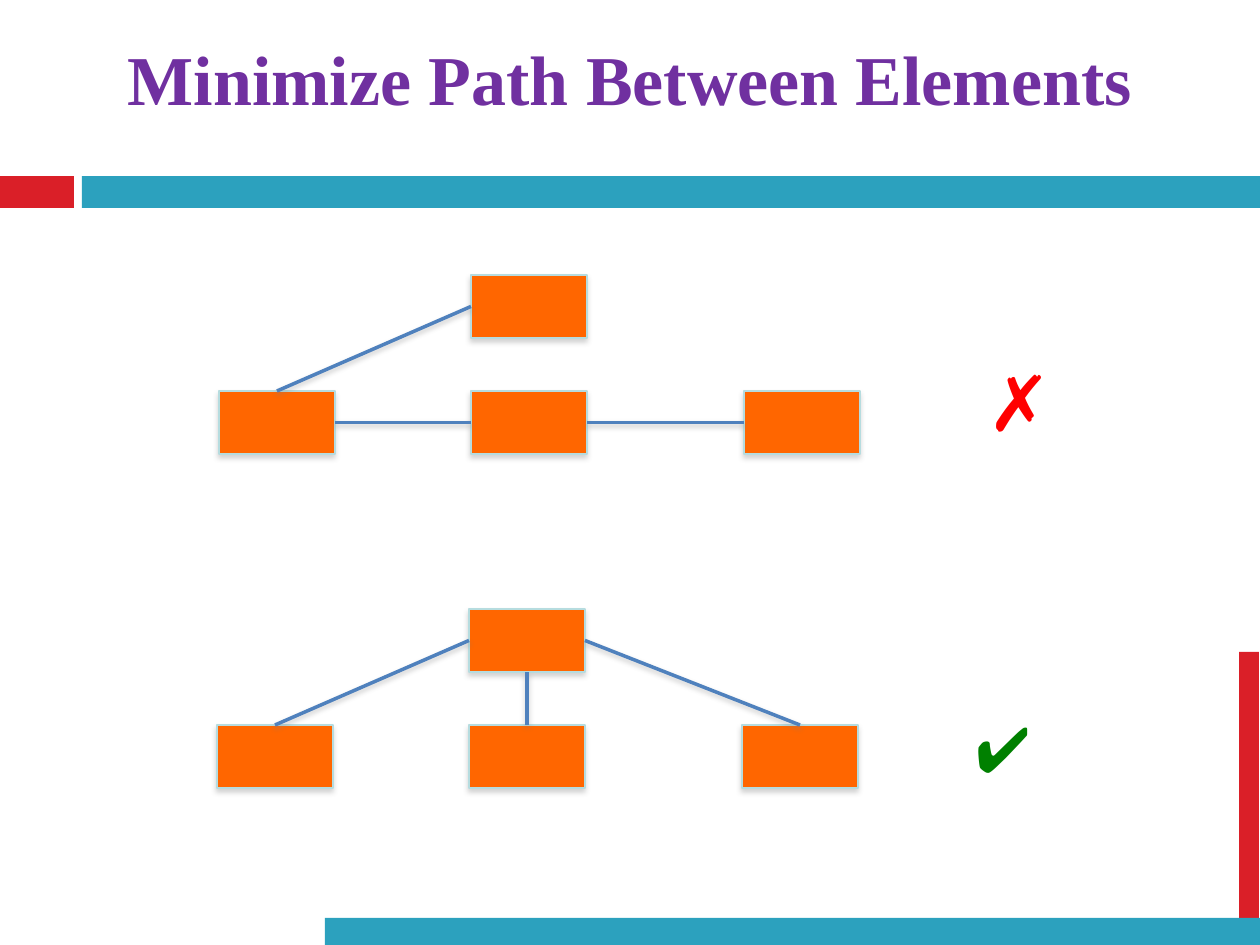
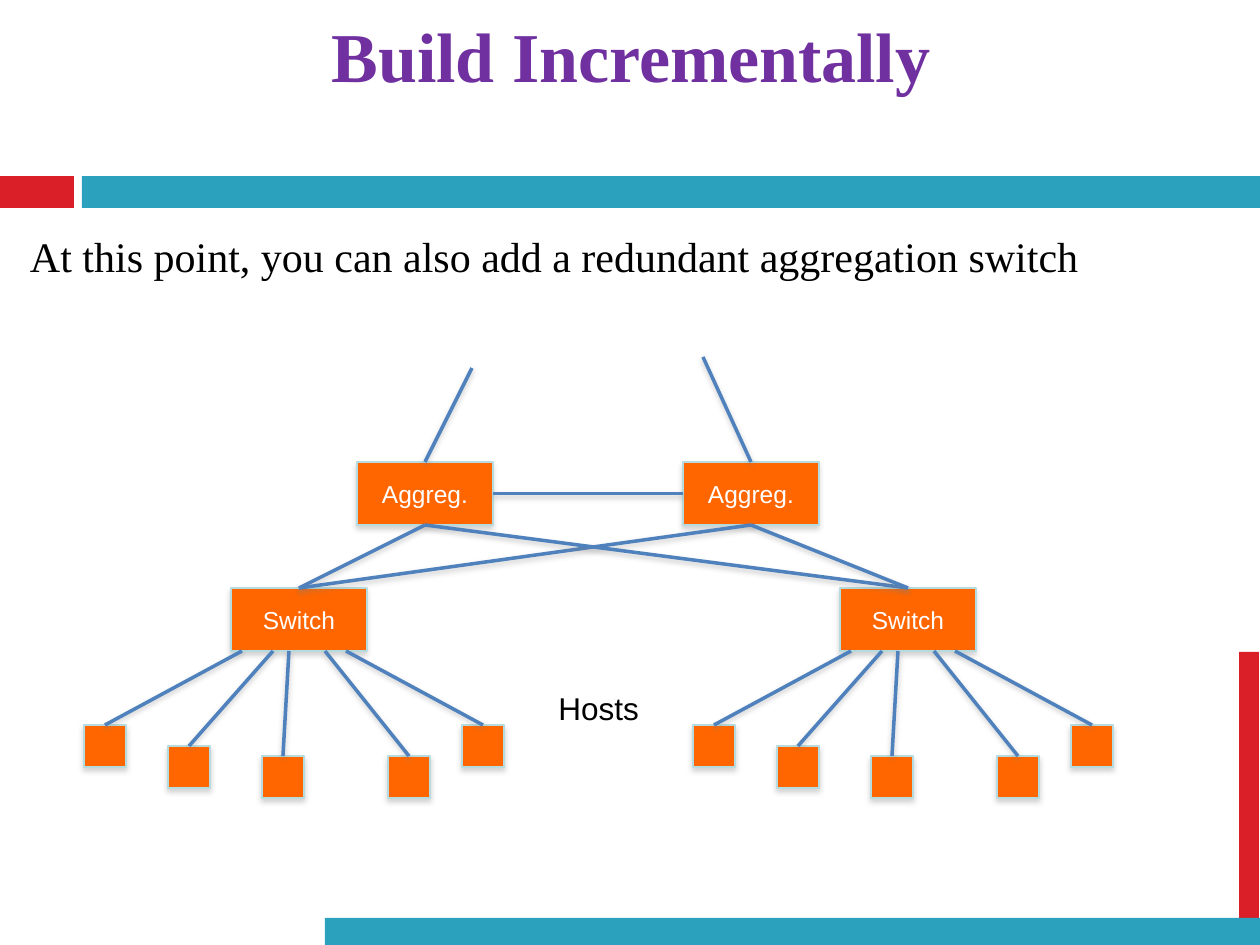
from lxml import etree
from pptx import Presentation
from pptx import util as u
from pptx.dml.color import RGBColor
from pptx.enum import shapes, text
from pptx.oxml.ns import qn

PX = u.Inches(1) / 126
COLOURS = {
    "title": "7030A0", "red": "DA1F28", "teal": "2CA1BE",
    "node": "FF6600", "border": "B6DCDF", "link": "4F81BD",
    "shadow": "808080", "right": "008000", "wrong": "FF0000",
    "black": "000000", "white": "FFFFFF",
}
RGB = {name: RGBColor.from_string(value) for name, value in COLOURS.items()}
SERIF, SANS = "Times New Roman", "Arial"
TOP, LEFT, BOTTOM, RIGHT = range(4)

shadowed = []
captions = []


def add_node(slide, left, top, width, height, label=""):
    node = slide.shapes.add_shape(
        shapes.MSO_SHAPE.RECTANGLE, *(round(v * PX) for v in (left, top, width, height)))
    node.fill.solid()
    node.fill.fore_color.rgb = RGB["node"]
    node.line.color.rgb = RGB["border"]
    node.line.width = u.Pt(0.75)
    shadowed.append((node, 35, 1.8))
    if label:
        node.text_frame.text = label
        node.text_frame.paragraphs[0].alignment = text.PP_ALIGN.CENTER
        captions.append((node, 14, SANS, "white"))
    return node


def add_link(slide, start, start_side, end=None, end_side=TOP, point=(0, 0)):
    link = slide.shapes.add_connector(
        shapes.MSO_CONNECTOR.STRAIGHT, 0, 0, *(round(v * PX) for v in point))
    link.begin_connect(start, start_side)
    if end is not None:
        link.end_connect(end, end_side)
    link.line.color.rgb = RGB["link"]
    link.line.width = u.Pt(2)
    shadowed.append((link, 38, 1.6))


prs = Presentation()
prs.slide_width = round(1260 * PX)
prs.slide_height = round(945 * PX)
layout = prs.slide_layouts[5]

pages = []
for heading, left, top in [
    ("Minimize Path Between Elements", 95, 35),
    ("Build Incrementally", 96, 13),
]:
    page = prs.slides.add_slide(layout)
    title = page.shapes.title
    title.left, title.top, title.width, title.height = (
        round(v * PX) for v in (left, top, 1070, 84))
    frame = title.text_frame
    frame.text = heading
    frame.margin_left = frame.margin_top = frame.margin_right = frame.margin_bottom = 0
    frame.vertical_anchor = text.MSO_ANCHOR.TOP
    frame.auto_size = text.MSO_AUTO_SIZE.NONE
    frame.paragraphs[0].alignment = text.PP_ALIGN.CENTER
    captions.append((title, 40, SERIF, "title"))
    pages.append(page)
paths_page, build_page = pages

for colour, *place in [
    ("red", 0, 176, 74, 32),
    ("teal", 82, 176, 1178, 32),
    ("red", 1239, 652, 20, 283),
    ("teal", 325, 918, 935, 27),
]:
    band = paths_page.shapes.add_shape(
        shapes.MSO_SHAPE.RECTANGLE, *(round(v * PX) for v in place))
    band.shadow.inherit = False
    band.fill.solid()
    band.fill.fore_color.rgb = RGB[colour]
    band.line.fill.background()
    layout.shapes.element.append(band.element)

trees = []
for left, top in [(219, 275), (217, 609)]:
    hub = add_node(paths_page, left + 252, top, 116, 63)
    row = [add_node(paths_page, left + step, top + 116, 116, 63) for step in (0, 252, 525)]
    add_link(paths_page, row[0], TOP, hub, LEFT)
    trees.append((hub, row))

chain = trees[0][1]
for near, far in zip(chain, chain[1:]):
    add_link(paths_page, near, RIGHT, far, LEFT)

hub, row = trees[1]
add_link(paths_page, row[1], TOP, hub, BOTTOM)
add_link(paths_page, row[2], TOP, hub, RIGHT)

for page, words, place, size, font, colour in [
    (paths_page, "✗", (975, 348, 69, 106), 44, SANS, "wrong"),
    (paths_page, "✔", (963, 703, 79, 89), 36, SANS, "right"),
    (build_page, "Hosts", (546, 683, 107, 50), 18, SANS, "black"),
]:
    note = page.shapes.add_textbox(*(round(v * PX) for v in place))
    note.text_frame.text = words
    note.text_frame.word_wrap = False
    captions.append((note, size, font, colour))

lead = build_page.shapes.add_textbox(*(round(v * PX) for v in (30, 231, 1134, 50)))
frame = lead.text_frame
frame.text = "At this point, you can also add a redundant aggregation switch"
frame.word_wrap = True
frame.margin_left = frame.margin_top = frame.margin_right = frame.margin_bottom = 0
captions.append((lead, 24, SERIF, "black"))

aggregators = []
for left, uplink in [(357, (472, 368)), (683, (703, 357))]:
    aggregator = add_node(build_page, left, 462, 136, 63, "Aggreg.")
    add_link(build_page, aggregator, TOP, point=uplink)
    aggregators.append(aggregator)
add_link(build_page, aggregators[0], RIGHT, aggregators[1], LEFT)

for left in (231, 840):
    switch = add_node(build_page, left, 588, 136, 63, "Switch")
    for aggregator in aggregators:
        add_link(build_page, switch, TOP, aggregator, BOTTOM)
    for offset, top, port in [
        (-147, 725, 11), (-63, 746, 42), (31, 756, 58), (157, 756, 94), (231, 725, 115),
    ]:
        host = add_node(build_page, left + offset, top, 42, 42)
        add_link(build_page, host, TOP, point=(left + port, 651))

for part, size, font, colour in captions:
    for run in part.text_frame.paragraphs[0].runs:
        run.font.size = u.Pt(size)
        run.font.name = font
        run.font.bold = colour == "title"
        run.font.color.rgb = RGB[colour]

for part, opacity, distance in shadowed:
    effects = etree.SubElement(part.element.spPr, qn("a:effectLst"))
    shadow = etree.SubElement(
        effects, qn("a:outerShdw"), blurRad=str(u.Pt(3.1)), dist=str(u.Pt(distance)),
        dir="5400000", rotWithShape="0")
    tint = etree.SubElement(shadow, qn("a:srgbClr"), val=COLOURS["shadow"])
    etree.SubElement(tint, qn("a:alpha"), val=str(opacity * 1000))

prs.save("out.pptx")
